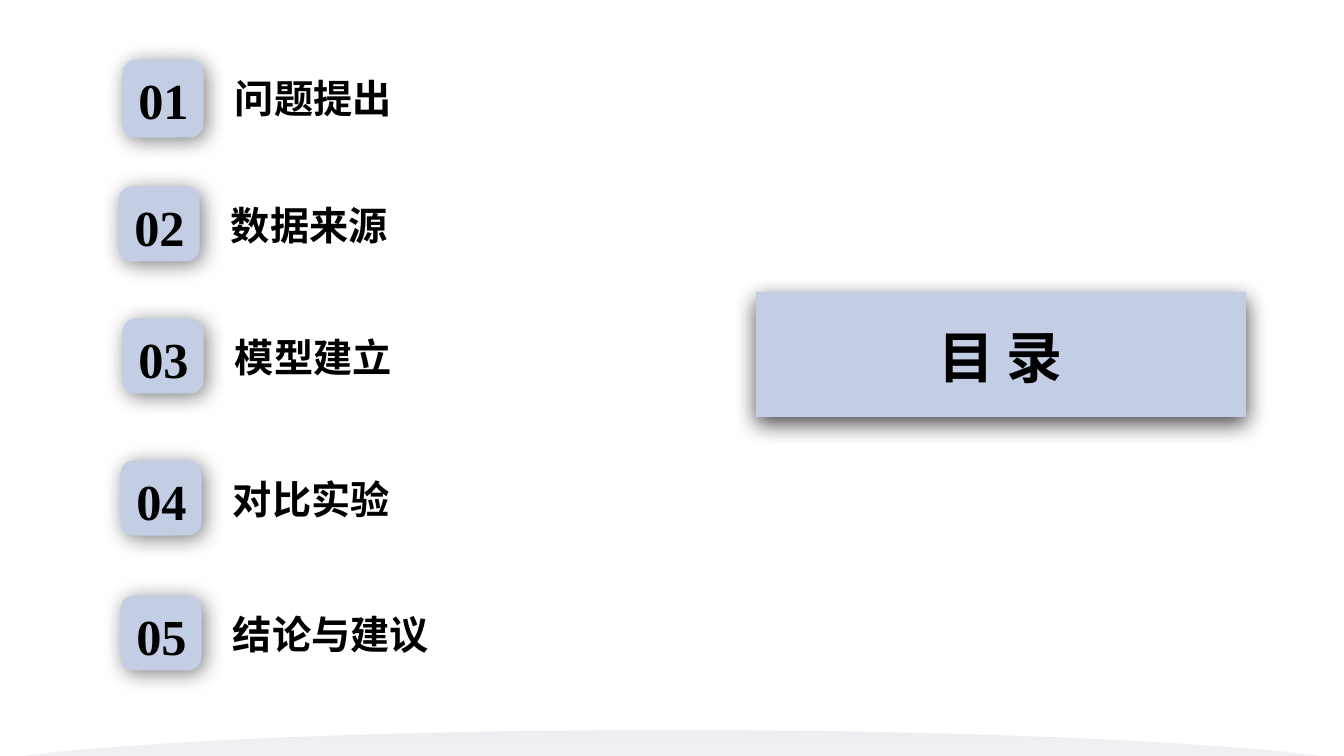
from lxml import etree
from pptx import Presentation
from pptx import util as u
from pptx.dml.color import RGBColor
from pptx.enum import shapes, text
from pptx.oxml import ns

PX = 914400 / 100.8


def px(n):
    return u.Emu(round(n * PX))


def rgb(value):
    return RGBColor.from_string(value)


def sub(parent, tag, **attrs):
    el = etree.SubElement(parent, ns.qn(tag))
    for key, value in attrs.items():
        el.set(key, str(value))
    return el


class Deck:
    accent, ink, curve = "C3CDE3", "000000", "51406F"
    heading, digits = "Lato", "Times New Roman"

    def __init__(self):
        self.prs = Presentation()
        self.prs.slide_width, self.prs.slide_height = px(1344), px(756)
        self.s = self.prs.slides.add_slide(self.prs.slide_layouts[5])

    def paint(self, sp, color):
        sp.shadow.inherit = False
        sp.fill.solid()
        sp.fill.fore_color.rgb = rgb(color)
        sp.line.fill.background()

    def shape(self, kind, x, y, w, h):
        sp = self.s.shapes.add_shape(kind, px(x), px(y), px(w), px(h))
        self.paint(sp, self.accent)
        return sp

    def shadow(self, sp, alpha, blur, dist, angle):
        effects = sp.element.spPr.find(ns.qn("a:effectLst"))
        outer = sub(effects, "a:outerShdw", blurRad=u.Pt(blur), dist=u.Pt(dist),
                    dir=angle * 60000, algn="ctr", rotWithShape=0)
        clr = sub(outer, "a:srgbClr", val=self.ink)
        sub(clr, "a:alpha", val=alpha * 1000)

    def hill(self):
        (x0, y0), (x1, y1), (x2, y2), (x3, y3) = (672, 730), (928, 730), (1155, 739), (1288, 752)
        right = []
        for i in range(41):
            t = i / 40
            a, b, c, d = (1 - t) ** 3, 3 * t * (1 - t) ** 2, 3 * t * t * (1 - t), t ** 3
            right.append((a * x0 + b * x1 + c * x2 + d * x3, a * y0 + b * y1 + c * y2 + d * y3))
        right.append((1321, 756))
        left = [(1344 - x, y) for x, y in reversed(right[1:])]
        points = [(px(x), px(y)) for x, y in left + right]
        fb = self.s.shapes.build_freeform(*points[0])
        fb.add_line_segments(points[1:], close=True)
        self.paint(fb.convert_to_shape(), self.curve)

    def veil(self, stops):
        sp = self.shape(shapes.MSO_SHAPE.RECTANGLE, 0, 0, 1344, 756)
        solid = sp.element.spPr.find(ns.qn("a:solidFill"))
        grad = etree.Element(ns.qn("a:gradFill"), rotWithShape="1")
        gs_list = sub(grad, "a:gsLst")
        for pos, alpha in stops:
            gs = sub(gs_list, "a:gs", pos=pos * 1000)
            clr = sub(gs, "a:srgbClr", val="FFFFFF")
            sub(clr, "a:alpha", val=alpha * 1000)
        sub(grad, "a:lin", ang=90 * 60000, scaled=0)
        solid.getparent().replace(solid, grad)

    def set_text(self, sp, words, size, font, align):
        tf = sp.text_frame
        tf.word_wrap = True
        tf.auto_size = text.MSO_AUTO_SIZE.NONE
        tf.vertical_anchor = text.MSO_ANCHOR.TOP
        p = tf.paragraphs[0]
        p.text = words
        p.alignment = align
        p.font.name, p.font.size, p.font.bold = font, u.Pt(size), True
        p.font.color.rgb = rgb(self.ink)

    def label(self, x, y, w, h, *style):
        self.set_text(self.s.shapes.add_textbox(px(x), px(y), px(w), px(h)), *style)

    def item(self, number, x, y, h, name):
        sp = self.shape(shapes.MSO_SHAPE.ROUNDED_RECTANGLE, x, y, 78, h)
        sp.line.color.rgb = rgb(self.accent)
        sp.line.width = u.Pt(2.25)
        self.shadow(sp, 50, 15, 3, 45)
        self.label(x - 23, y + 3, 125, 72, f"{number:02}", 36, self.digits, text.PP_ALIGN.CENTER)
        self.label(x + 101, y + 8, 406, 57, name, 28, self.heading, text.PP_ALIGN.LEFT)

    def title(self, words):
        banner = self.shape(shapes.MSO_SHAPE.RECTANGLE, 756, 292, 490, 125)
        self.shadow(banner, 71, 16, 5, 90)
        sp = self.s.shapes.title
        sp.left, sp.top, sp.width, sp.height = px(847), px(317), px(307), px(78)
        self.set_text(sp, words, 40, self.heading, text.PP_ALIGN.CENTER)
        banner.element.addnext(sp.element)


def main():
    deck = Deck()
    deck.hill()
    deck.veil([(0, 100), (42, 70), (98, 91)])
    items = [
        (124, 61, 75, "问题提出"),
        (120, 188, 72, "数据来源"),
        (124, 320, 72, "模型建立"),
        (122, 462, 72, "对比实验"),
        (122, 597, 72, "结论与建议"),
    ]
    for number, row in enumerate(items, 1):
        deck.item(number, *row)
    deck.title("目 录")
    deck.prs.save("out.pptx")


if __name__ == "__main__":
    main()
